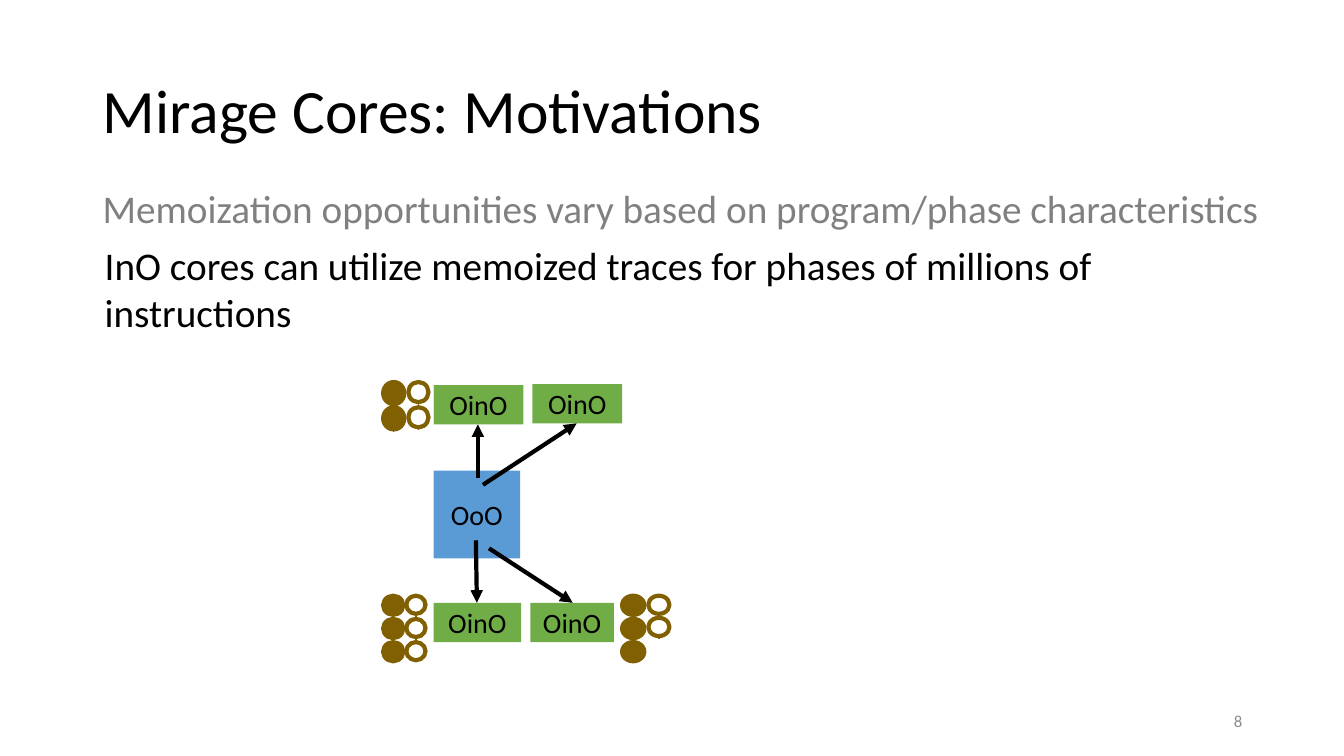
import pptx
import pptx.util
import pptx.dml.color
import pptx.enum.shapes
import pptx.enum.text
import pptx.oxml
import pptx.oxml.ns
from pptx.util import Inches

COLORS = {"black": "000000", "white": "FFFFFF", "muted": "808080", "number": "8C8C8C",
          "oino": "70AD47", "ooo": "5B9BD5", "trace": "806000"}
SHAPE = pptx.enum.shapes.MSO_SHAPE
ALIGN = pptx.enum.text.PP_ALIGN
ANCHOR = pptx.enum.text.MSO_ANCHOR


def rgb(name):
    return pptx.dml.color.RGBColor.from_string(COLORS[name])


class SlideBuilder:
    def __init__(self, slide, font="Calibri"):
        self.shapes = slide.shapes
        self.font = font

    def set_text(self, sp, text, size, color, align=ALIGN.LEFT, anchor=ANCHOR.TOP):
        tf = sp.text_frame
        tf.word_wrap = True
        tf.vertical_anchor = anchor
        p = tf.paragraphs[0]
        p.text = text
        p.alignment = align
        p.font.name = self.font
        p.font.size = pptx.util.Pt(size)
        p.font.color.rgb = rgb(color)
        return p

    def text(self, box, text, size, color, **layout):
        sp = self.shapes.add_textbox(*map(Inches, box))
        return self.set_text(sp, text, size, color, **layout)

    def shape(self, kind, box, fill=None, line=None):
        sp = self.shapes.add_shape(kind, *map(Inches, box))
        sp.shadow.inherit = False
        if fill:
            sp.fill.solid()
            sp.fill.fore_color.rgb = rgb(fill)
        else:
            sp.fill.background()
        if line:
            sp.line.color.rgb = rgb(line)
            sp.line.width = pptx.util.Pt(3)
        else:
            sp.line.fill.background()
        return sp

    def core(self, box, label, fill):
        sp = self.shape(SHAPE.RECTANGLE, box, fill)
        sp.text_frame.margin_left = sp.text_frame.margin_right = 0
        self.set_text(sp, label, 20, "black", ALIGN.CENTER, ANCHOR.MIDDLE)

    def line(self, start, end, color, width, arrow=False):
        cx = self.shapes.add_connector(pptx.enum.shapes.MSO_CONNECTOR.STRAIGHT,
                                       *map(Inches, start + end))
        cx.line.color.rgb = rgb(color)
        cx.line.width = pptx.util.Pt(width)
        ns = pptx.oxml.ns.nsdecls("a")
        sp_pr = cx._element.spPr
        if arrow:
            ln = sp_pr.find(pptx.oxml.ns.qn("a:ln"))
            ln.append(pptx.oxml.parse_xml(f'<a:tailEnd {ns} type="triangle"/>'))
        sp_pr.append(pptx.oxml.parse_xml(f"<a:effectLst {ns}/>"))

    def traces(self, x, y, w, h, count, pitch, fill=None):
        """Column of trace dots with a short tick below each of the first two."""
        for i in range(count):
            top = y + i * pitch
            self.shape(SHAPE.OVAL, (x, top, w, h), fill, "trace")
            if i < 2:
                bottom, mid = top + h, x + w / 2
                self.line((mid, bottom), (mid, bottom + 0.03), "trace", 1)


prs = pptx.Presentation()
prs.slide_width, prs.slide_height = Inches(13.33), Inches(7.5)
s = SlideBuilder(prs.slides.add_slide(prs.slide_layouts[6]))

# Title, statements and slide number
p = s.text((0.92, 0.4, 11.5, 1.45), "Mirage Cores: Motivations", 44, "black",
           anchor=ANCHOR.MIDDLE)
p.line_spacing = 0.9
p = s.text((0.92, 1.83, 11.97, 0.5),
           "Memoization opportunities vary based on program/phase characteristics",
           28, "muted")
p.line_spacing = 0.9
p.space_before = pptx.util.Pt(10)
s.text((0.94, 2.34, 10.61, 1.04),
       "InO cores can utilize memoized traces for phases of millions of instructions",
       28, "black")
s.text((9.42, 6.95, 3, 0.4), "8", 12, "number", align=ALIGN.RIGHT, anchor=ANCHOR.MIDDLE)

# Cores
for x, y, w in [(4.3, 3.82, 0.89), (5.28, 3.81, 0.89), (4.3, 5.98, 0.87), (5.26, 5.98, 0.83)]:
    s.core((x, y, w, 0.39), "OinO", "oino")
s.core((4.3, 4.67, 0.86, 0.87), "OoO", "ooo")

# Arrows from the OoO core to the OinO cores
for start, end in [((4.85, 5.44), (5.68, 5.98)), ((4.72, 5.36), (4.73, 5.98)),
                   ((4.79, 4.81), (5.72, 4.2)), ((4.74, 4.74), (4.74, 4.21))]:
    s.line(start, end, "black", 3, arrow=True)

# Memoized traces: lower left, lower right, upper left
s.traces(3.8, 5.91, 0.2, 0.19, 3, 0.23, "trace")
s.traces(4.03, 5.91, 0.19, 0.18, 3, 0.23)
s.traces(6.17, 5.91, 0.22, 0.19, 3, 0.23, "trace")
s.traces(6.43, 5.91, 0.21, 0.18, 2, 0.22)
s.shape(SHAPE.RECTANGLE, (3.77, 3.72, 0.53, 0.89), "white")
s.traces(3.8, 3.79, 0.21, 0.22, 2, 0.25, "trace")
s.traces(4.05, 3.79, 0.2, 0.2, 2, 0.25)

prs.save("out.pptx")
